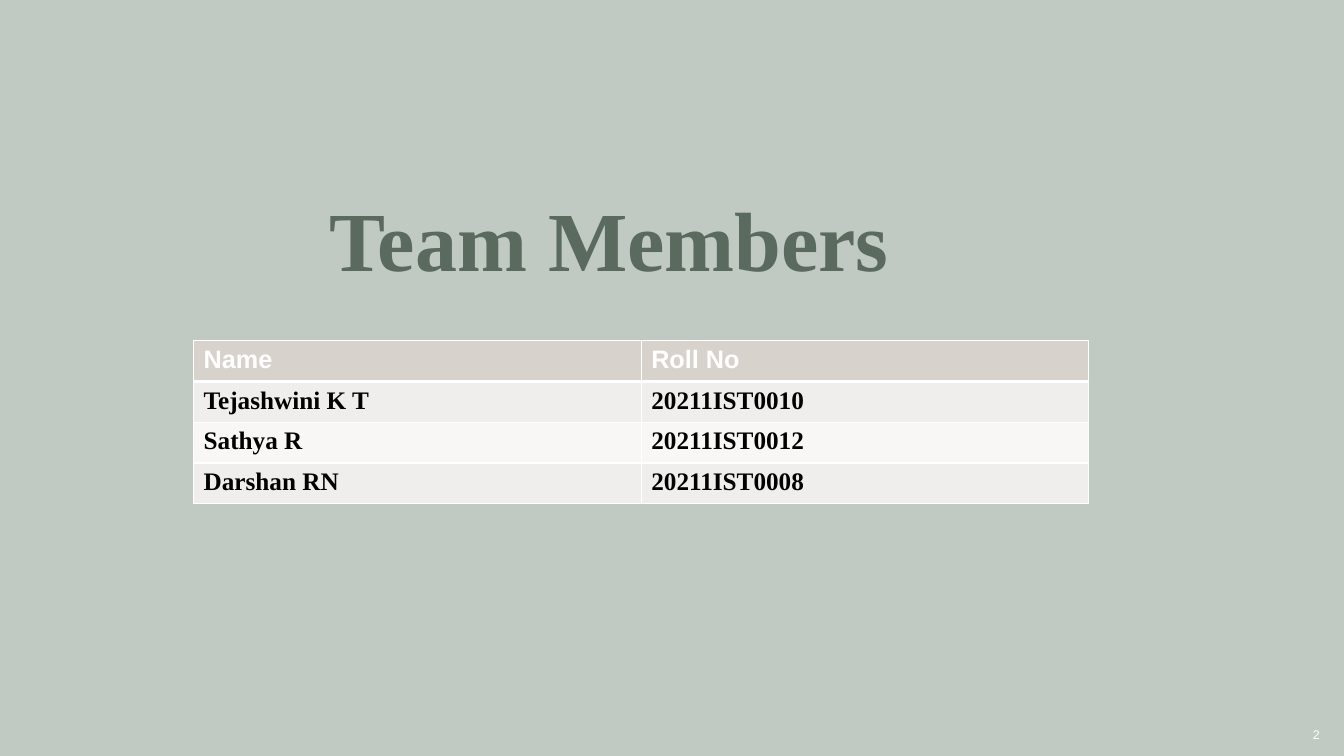
from lxml.etree import SubElement
from pptx import Presentation
from pptx.dml.color import RGBColor as RGB
from pptx.enum.text import MSO_ANCHOR as Anchor, PP_ALIGN as Align
from pptx.oxml.ns import qn
from pptx.util import Inches, Pt

# Content
TITLE = "Team Members"
PAGE = "2"
MEMBERS = [
    ("Name", "Roll No"),
    ("Tejashwini K T", "20211IST0010"),
    ("Sathya R", "20211IST0012"),
    ("Darshan RN", "20211IST0008"),
]
COLORS = {
    "background": "C0C9C2", "title": "5B6A5E", "white": "FFFFFF",
    "black": "000000", "header": "D8D2CD", "odd": "F0EEED", "even": "F8F7F6",
}
SERIF, SANS = "Times New Roman", "Arial"
TABLE_LEFT, TABLE_TOP, COL_W, ROW_H = 1.92, 3.38, 4.44, 0.405


def color(name):
    return RGB.from_string(COLORS[name])


def style(p, font, size, ink, bold=False):
    p.font.name, p.font.size, p.font.bold = font, Pt(size), bold
    p.font.color.rgb = color(ink)


def add_text(slide, text, left, top, width, height):
    tf = slide.shapes.add_textbox(*map(Inches, (left, top, width, height))).text_frame
    tf.word_wrap = True
    tf.vertical_anchor = Anchor.MIDDLE
    p = tf.paragraphs[0]
    p.text = text
    return p


def add_border(cell, side, points):
    ln = SubElement(cell._tc.get_or_add_tcPr(), qn(f"a:ln{side}"), w=str(Pt(points)))
    fill = SubElement(ln, qn("a:solidFill"))
    SubElement(fill, qn("a:srgbClr"), val=COLORS["white"])


prs = Presentation()
prs.slide_width, prs.slide_height = Inches(13.33), Inches(7.5)
s = prs.slides.add_slide(prs.slide_layouts[6])
s.background.fill.solid()
s.background.fill.fore_color.rgb = color("background")

# Title
p = add_text(s, TITLE, 3.17, 1.87, 9.83, 1.1)
p.line_spacing = 0.9
style(p, SERIF, 60, "title", bold=True)

# Page number
p = add_text(s, PAGE, 10.19, 7.09, 3, 0.4)
p.alignment = Align.RIGHT
style(p, SANS, 9, "white")

# Members table
rows, cols = len(MEMBERS), len(MEMBERS[0])
table = s.shapes.add_table(rows, cols, Inches(TABLE_LEFT), Inches(TABLE_TOP),
                           Inches(cols * COL_W), Inches(rows * ROW_H)).table
for i, member in enumerate(MEMBERS):
    header = i == 0
    shade = "header" if header else "odd" if i % 2 else "even"
    # The rule under the header is heavier than the others
    widths = {"L": 1, "R": 1, "T": 3 if i == 1 else 1, "B": 3 if header else 1}
    for j, text in enumerate(member):
        cell = table.cell(i, j)
        cell.text = text
        style(cell.text_frame.paragraphs[0], SANS if header else SERIF, 18,
              "white" if header else "black", bold=True)
        for side, points in widths.items():
            add_border(cell, side, points)
        cell.fill.solid()
        cell.fill.fore_color.rgb = color(shade)

prs.save("out.pptx")
